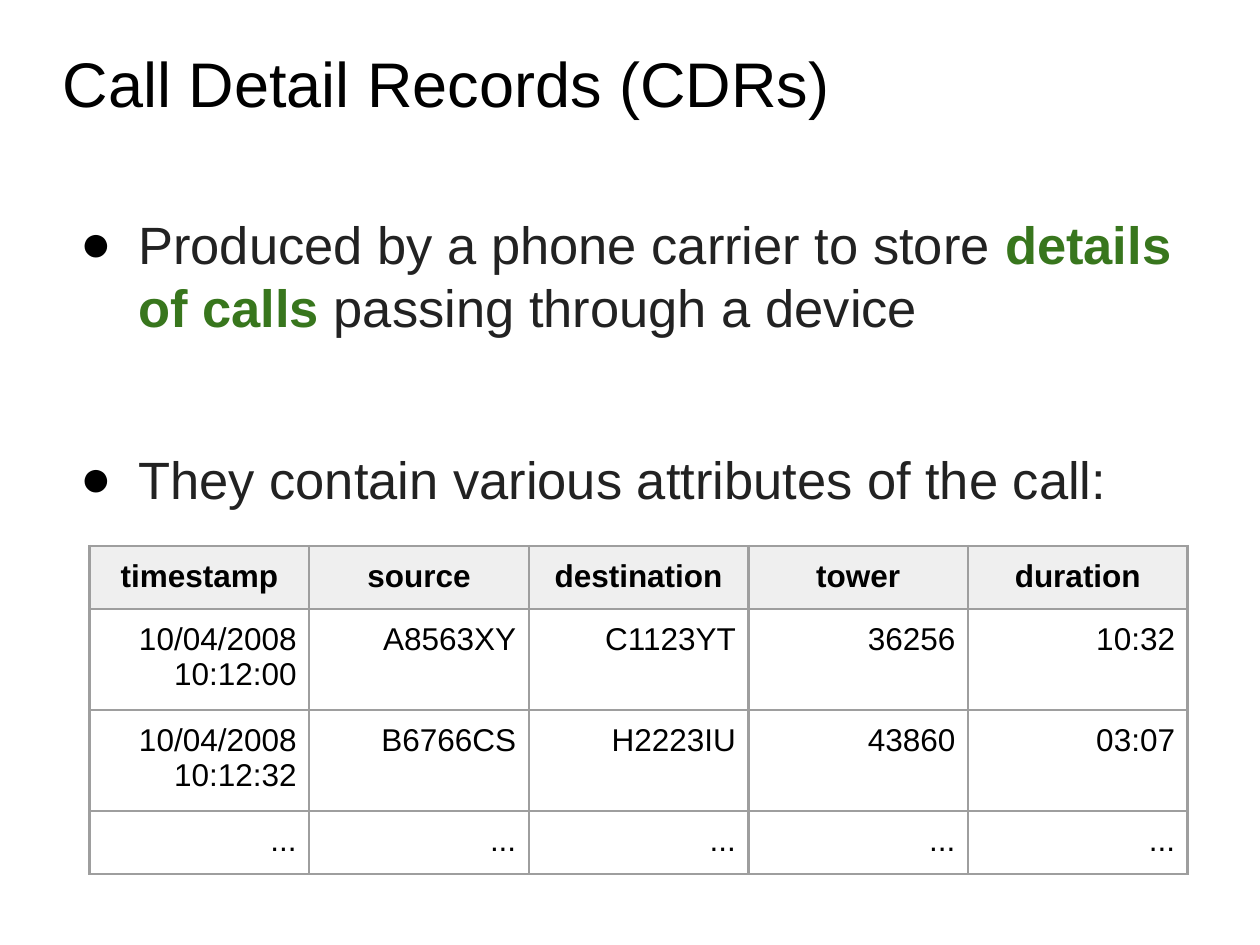
from dataclasses import dataclass
from lxml.etree import SubElement
from pptx import Presentation
from pptx.dml.color import RGBColor
from pptx.enum.text import MSO_ANCHOR as Anchor, PP_ALIGN as Align
from pptx.oxml.ns import qn
from pptx.util import Pt


@dataclass(frozen=True)
class Theme:
    font: str = "Arial"
    black: str = "000000"
    body: str = "222222"
    accent: str = "38761D"
    header: str = "EFEFEF"
    border: str = "9E9E9E"
    title_size: int = 36
    body_size: int = 30
    table_size: int = 18


class SlideBuilder:
    def __init__(self, slide, theme):
        self.slide = slide
        self.theme = theme

    def style(self, run, size, color, bold=False):
        run.font.name = self.theme.font
        run.font.size = Pt(size)
        run.font.bold = bold
        run.font.color.rgb = RGBColor.from_string(color)

    def text_frame(self, left, top, width, height, inset_x, inset_y):
        box = self.slide.shapes.add_textbox(Pt(left), Pt(top), Pt(width), Pt(height))
        frame = box.text_frame
        frame.word_wrap = True
        frame.margin_left = frame.margin_right = Pt(inset_x)
        frame.margin_top = frame.margin_bottom = Pt(inset_y)
        return frame

    def title(self, text, left, top, width, height):
        frame = self.text_frame(left, top, width, height, 0, 5)
        frame.vertical_anchor = Anchor.MIDDLE
        frame.text = text
        self.style(frame.paragraphs[0].runs[0], self.theme.title_size, self.theme.black)

    def bullet(self, parts, left, top, width, height):
        frame = self.text_frame(left, top, width, height, 7.2, 3.6)
        paragraph = frame.paragraphs[0]
        properties = paragraph._p.get_or_add_pPr()
        properties.set("marL", str(Pt(36)))
        properties.set("indent", str(Pt(-33)))
        color = SubElement(properties, qn("a:buClr"))
        SubElement(color, qn("a:srgbClr"), val=self.theme.black)
        SubElement(properties, qn("a:buFont"), typeface=self.theme.font)
        SubElement(properties, qn("a:buChar"), char="●")
        for text, emphasized in parts:
            run = paragraph.add_run()
            run.text = text
            color = self.theme.accent if emphasized else self.theme.body
            self.style(run, self.theme.body_size, color, emphasized)

    def cell_borders(self, cell):
        properties = cell._tc.get_or_add_tcPr()
        for position, side in enumerate(("lnL", "lnR", "lnT", "lnB")):
            line = properties.makeelement(qn(f"a:{side}"), {"w": str(Pt(1.5))})
            fill = SubElement(line, qn("a:solidFill"))
            SubElement(fill, qn("a:srgbClr"), val=self.theme.border)
            properties.insert(position, line)

    def cell(self, cell, text, is_header):
        cell.margin_left = cell.margin_right = Pt(7.2)
        cell.margin_top = cell.margin_bottom = Pt(7.2)
        cell.text = text
        paragraph = cell.text_frame.paragraphs[0]
        paragraph.alignment = Align.CENTER if is_header else Align.RIGHT
        self.style(paragraph.runs[0], self.theme.table_size, self.theme.black, is_header)
        if is_header:
            cell.fill.solid()
            cell.fill.fore_color.rgb = RGBColor.from_string(self.theme.header)
        else:
            cell.fill.background()
        self.cell_borders(cell)

    def table(self, rows, left, top, column_width, row_heights):
        columns = len(rows[0])
        table = self.slide.shapes.add_table(
            len(rows), columns, Pt(left), Pt(top),
            Pt(column_width * columns), Pt(sum(row_heights)),
        ).table
        table.horz_banding = False
        for column in table.columns:
            column.width = Pt(column_width)
        for row_index, (values, height) in enumerate(zip(rows, row_heights)):
            table.rows[row_index].height = Pt(height)
            for column_index, value in enumerate(values):
                self.cell(table.cell(row_index, column_index), value, row_index == 0)


def main():
    presentation = Presentation()
    presentation.slide_width, presentation.slide_height = Pt(720), Pt(540)
    slide = presentation.slides.add_slide(presentation.slide_layouts[6])
    builder = SlideBuilder(slide, Theme())

    builder.title("Call Detail Records (CDRs)", 36, 13, 648, 68)
    builder.bullet(
        [
            ("Produced by a phone carrier to store ", False),
            ("details of calls", True),
            (" passing through a device", False),
        ],
        36, 117.4, 659, 88.6,
    )
    builder.bullet(
        [("They contain various attributes of the call:", False)],
        36, 252, 659, 45,
    )
    call_records = [
        ["timestamp", "source", "destination", "tower", "duration"],
        ["10/04/2008 10:12:00", "A8563XY", "C1123YT", "36256", "10:32"],
        ["10/04/2008 10:12:32", "B6766CS", "H2223IU", "43860", "03:07"],
        ["..."] * 5,
    ]
    builder.table(call_records, 51.2, 312, 125.5, [34.3, 54.9, 54.9, 34.3])
    presentation.save("out.pptx")


if __name__ == "__main__":
    main()
